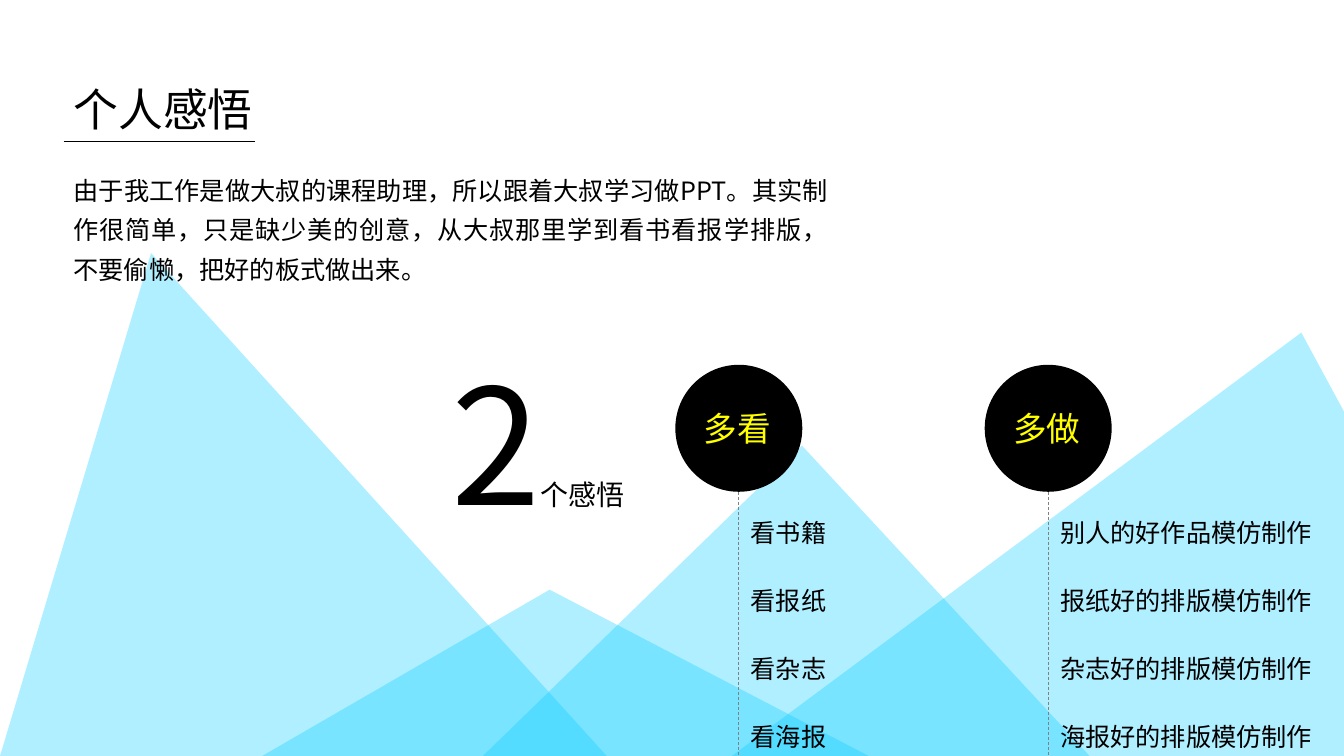
from lxml.etree import SubElement
from pptx import Presentation
from pptx.dml.color import RGBColor
from pptx.enum.dml import MSO_LINE
from pptx.enum.lang import MSO_LANGUAGE_ID
from pptx.enum.shapes import MSO_CONNECTOR, MSO_SHAPE
from pptx.enum.text import MSO_ANCHOR, MSO_AUTO_SIZE, PP_ALIGN
from pptx.oxml.ns import qn
from pptx.util import Pt

COLORS = {
    "mountain": "00CCFF",
    "ink": "000000",
    "badge_text": "FFFF00",
    "stem": "808080",
}
FONT = "Noto Sans CJK SC"
MOUNTAIN_OPACITY = 31
FLOOR = 540
MOUNTAINS = [(0, 180.7, 0.249), (344.9, 318.3, 0.526), (187.2, 421.2, 0.474)]
MOUNTAIN_WIDTH = 433.4
RIDGE = [(522.7, FLOOR), (929.5, 237.6), (1093, FLOOR)]
BADGE_TOP, BADGE_SIZE = 260.6, 90.7
ITEM_TOP, ITEM_PITCH, ITEM_HEIGHT = 365.7, 48.7, 29.1
COLUMNS = [
    (482.4, 69.1, "多看", ["看书籍", "看报纸", "看杂志", "看海报"]),
    (703.4, 196.6, "多做", [
        "别人的好作品模仿制作",
        "报纸好的排版模仿制作",
        "杂志好的排版模仿制作",
        "海报好的排版模仿制作",
    ]),
]
BODY = ("由于我工作是做大叔的课程助理，所以跟着大叔学习做PPT。其实制作很简单，"
        "只是缺少美的创意，从大叔那里学到看书看报学排版，不要偷懒，把好的板式做出来。")


def color(name):
    """Return the named colour."""
    return RGBColor.from_string(COLORS[name])


def set_values(target, values):
    """Set every attribute in values on target."""
    for name, value in values.items():
        setattr(target, name, value)


def add_span(para, text, size, ink="ink"):
    """Add a run in the slide font for both Latin and Chinese text."""
    span = para.add_run()
    span.text = text
    set_values(span.font, {"name": FONT, "size": Pt(size),
                           "language_id": MSO_LANGUAGE_ID.SIMPLIFIED_CHINESE})
    span.font.color.rgb = color(ink)
    latin = span.font._element.find(qn("a:latin"))
    east_asian = SubElement(span.font._element, qn("a:ea"), typeface=FONT)
    latin.addnext(east_asian)


def add_text(shapes, frame, spans, wrap=True, **para_format):
    """Add a text box holding one paragraph of (text, size) spans."""
    box = shapes.add_textbox(*map(Pt, frame))
    set_values(box.text_frame, {"word_wrap": wrap,
                                "auto_size": MSO_AUTO_SIZE.SHAPE_TO_FIT_TEXT})
    para = box.text_frame.paragraphs[0]
    set_values(para, para_format)
    for text, size in spans:
        add_span(para, text, size)


def fill_plain(shape, name, opacity=100):
    """Fill a shape without outline or shadow."""
    shape.shadow.inherit = False
    shape.line.fill.background()
    shape.fill.solid()
    shape.fill.fore_color.rgb = color(name)
    if opacity < 100:
        tint = shape._element.spPr.find(qn("a:solidFill"))[0]
        SubElement(tint, qn("a:alpha"), val=str(opacity * 1000))


def add_line(shapes, start, end, name, dash=None):
    """Add a thin straight line."""
    line = shapes.add_connector(MSO_CONNECTOR.STRAIGHT, *map(Pt, start + end))
    set_values(line.line, {"width": Pt(0.5), "dash_style": dash})
    line.line.color.rgb = color(name)
    SubElement(line._element.spPr, qn("a:effectLst"))


def add_mountains(shapes):
    """Draw the translucent mountains along the bottom edge."""
    for left, top, peak in MOUNTAINS:
        frame = (left, top, MOUNTAIN_WIDTH, FLOOR - top)
        mountain = shapes.add_shape(MSO_SHAPE.ISOSCELES_TRIANGLE, *map(Pt, frame))
        mountain.adjustments[0] = peak
        fill_plain(mountain, "mountain", MOUNTAIN_OPACITY)
    points = [(Pt(x), Pt(y)) for x, y in RIDGE]
    builder = shapes.build_freeform(*points[0])
    builder.add_line_segments(points[1:], close=True)
    fill_plain(builder.convert_to_shape(), "mountain", MOUNTAIN_OPACITY)


def add_column(shapes, left, item_width, heading, items):
    """Draw a round badge with a dashed stem and its list of items."""
    group = shapes.add_group_shape().shapes
    frame = (left, BADGE_TOP, BADGE_SIZE, BADGE_SIZE)
    badge = group.add_shape(MSO_SHAPE.OVAL, *map(Pt, frame))
    fill_plain(badge, "ink")
    badge.text_frame.vertical_anchor = MSO_ANCHOR.MIDDLE
    para = badge.text_frame.paragraphs[0]
    para.alignment = PP_ALIGN.JUSTIFY
    add_span(para, heading, 24, "badge_text")
    stem = left + BADGE_SIZE / 2
    add_line(group, (stem, BADGE_TOP + BADGE_SIZE), (stem, FLOOR), "stem", MSO_LINE.DASH)
    for row, item in enumerate(items):
        frame = (stem + 1.4, ITEM_TOP + row * ITEM_PITCH, item_width, ITEM_HEIGHT)
        add_text(group, frame, [(item, 18)], wrap=False)


def main():
    """Build the slide and save the deck."""
    deck = Presentation()
    set_values(deck, {"slide_width": Pt(960), "slide_height": Pt(FLOOR)})
    page = deck.slides.add_slide(deck.slide_layouts[6])
    shapes = page.shapes
    add_mountains(shapes)
    add_text(shapes, (45.4, 54.7, 249.8, 46.1), [("个人感悟", 32)])
    for column in COLUMNS:
        add_column(shapes, *column)
    add_text(shapes, (45.4, 115.2, 553, 92.2), [(BODY, 18)],
             alignment=PP_ALIGN.JUSTIFY, line_spacing=1.3)
    add_text(shapes, (315.4, 242.6, 145.4, 146.9), [("2", 115), ("个感悟", 20)])
    add_line(shapes, (45.4, 100.8), (182.2, 100.8), "ink")
    deck.save("out.pptx")


if __name__ == "__main__":
    main()
